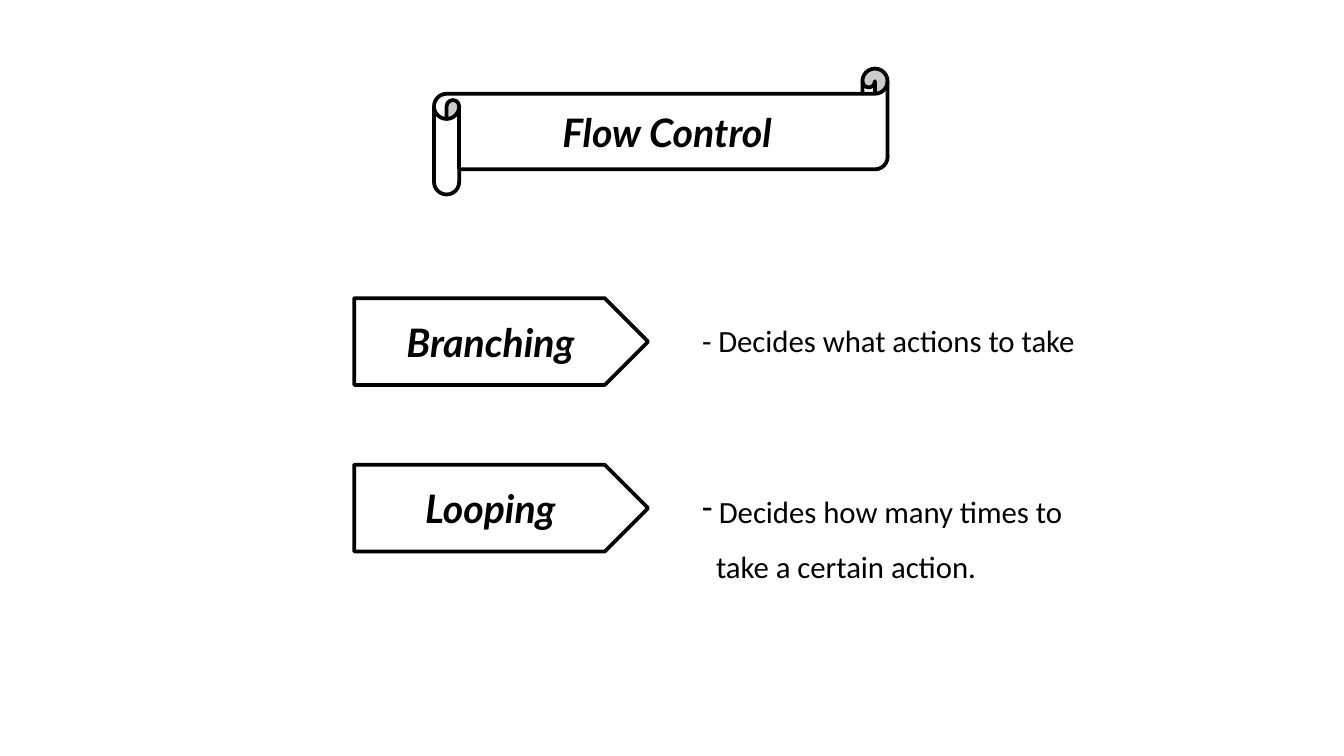
from lxml import etree
from pptx import Presentation, util as u
from pptx.dml.color import RGBColor
from pptx.enum import shapes, text
from pptx.oxml import ns

PX = 9525  # EMU in one px, 96 px to the inch
COLORS = {"paper": "FFFFFF", "ink": "000000"}
LABEL = {"name": "Lato", "size": u.Pt(21), "bold": True, "italic": True}
BODY = {"name": "Calibri", "size": u.Pt(16.5)}

deck = Presentation()
deck.slide_width, deck.slide_height = 960 * PX, 540 * PX
slide = deck.slides.add_slide(deck.slide_layouts[6])


def write(paragraph, words, font_format):
    run = paragraph.add_run()
    run.text = words
    for key, value in font_format.items():
        setattr(run.font, key, value)
    run.font.color.rgb = RGBColor.from_string(COLORS["ink"])


def add_label(kind, words, *box):
    label = slide.shapes.add_shape(kind, *(n * PX for n in box))
    label.shadow.inherit = False
    label.fill.solid()
    label.fill.fore_color.rgb = RGBColor.from_string(COLORS["paper"])
    label.line.color.rgb = RGBColor.from_string(COLORS["ink"])
    label.line.width = u.Pt(2)
    label.text_frame.vertical_anchor = text.MSO_ANCHOR.MIDDLE
    paragraph = label.text_frame.paragraphs[0]
    paragraph.alignment = text.PP_ALIGN.CENTER
    write(paragraph, words, LABEL)
    return label


# Title scroll
title = add_label(shapes.MSO_SHAPE.HORIZONTAL_SCROLL, "Flow Control", 310, 49, 324, 90)
title.adjustments[0] = 0.2

# Pentagon labels
for row, topic in enumerate(["Branching", "Looping"]):
    add_label(shapes.MSO_SHAPE.PENTAGON, topic, 253, 213 + row * 119, 210, 62)

# Branching explanation
branching = slide.shapes.add_textbox(492 * PX, 225 * PX, 286 * PX, 36 * PX).text_frame
branching.word_wrap = False
branching.auto_size = text.MSO_AUTO_SIZE.SHAPE_TO_FIT_TEXT
write(branching.paragraphs[0], "- Decides what actions to take", BODY)

# Looping explanation: a dash bullet, then an indented second line
looping = slide.shapes.add_textbox(492 * PX, 334 * PX, 324 * PX, 89 * PX).text_frame
looping.word_wrap = True
looping.auto_size = text.MSO_AUTO_SIZE.SHAPE_TO_FIT_TEXT
first, second = looping.paragraphs[0], looping.add_paragraph()
for line, words, margin, indent in [
    (first, "Decides how many times to", 12, -12),
    (second, "take a certain action.", 10, 0),
]:
    line.line_spacing = 1.5
    write(line, words, BODY)
    props = line._p.get_or_add_pPr()
    props.set("marL", str(margin * PX))
    props.set("indent", str(indent * PX))
etree.SubElement(first._p.get_or_add_pPr(), ns.qn("a:buChar"), char="-")

deck.save("out.pptx")
